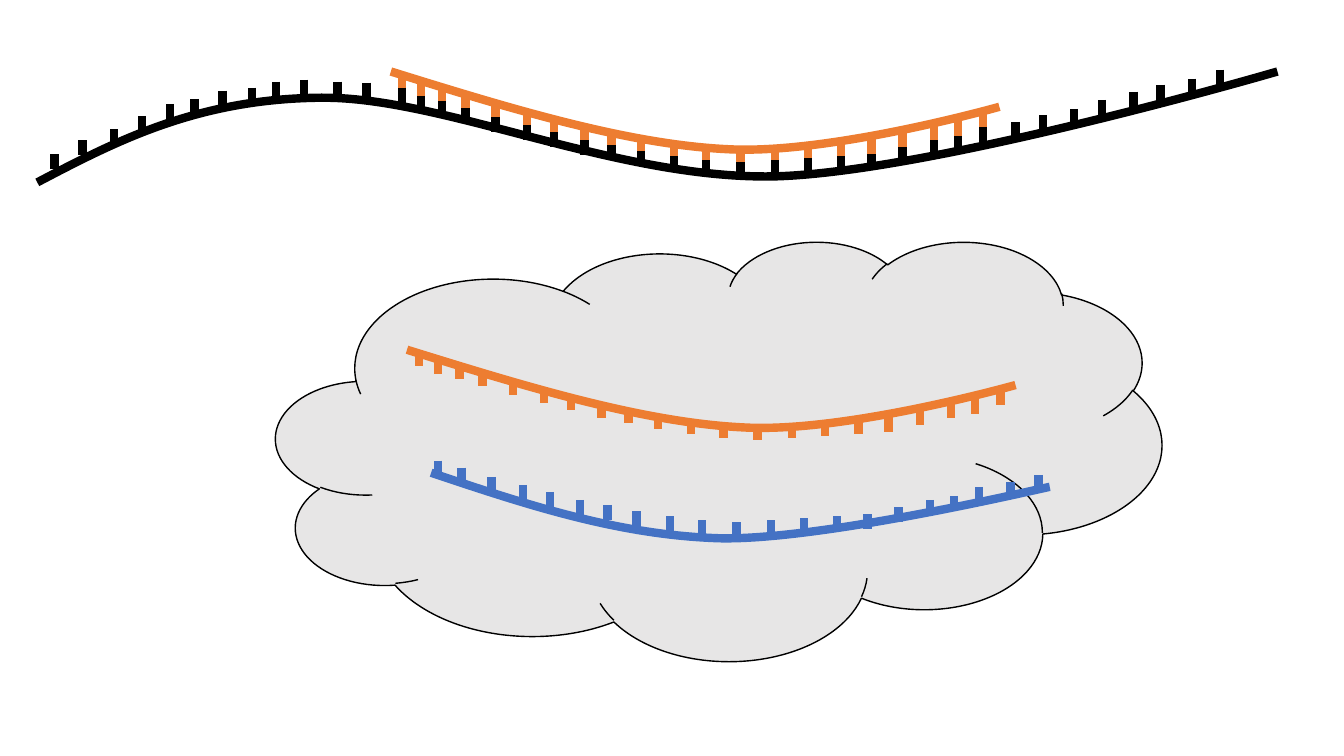
"""Draw a slide of paired strands above a cloud that holds two more strands."""
from lxml.etree import Element, SubElement
from pptx import Presentation
from pptx.dml.color import RGBColor
from pptx.enum.shapes import MSO_CONNECTOR, MSO_SHAPE
from pptx.oxml.ns import qn
from pptx.util import Inches, Pt

BLACK = RGBColor(0x00, 0x00, 0x00)
ORANGE = RGBColor(0xED, 0x7D, 0x31)
BLUE = RGBColor(0x44, 0x72, 0xC4)
GRAY = RGBColor(0xE7, 0xE6, 0xE6)
THICK = Pt(6)
TICK = 0.15

deck = Presentation()
deck.slide_width, deck.slide_height = Inches(13.34), Inches(7.5)
shapes = deck.slides.add_slide(deck.slide_layouts[6]).shapes


def add_strand(knots, color, right=0, down=0):
    dots = [(Inches(x + right), Inches(y + down)) for x, y in knots]
    pen = shapes.build_freeform(*dots[0])
    pen.add_line_segments(dots[3::3], close=False)
    strand = pen.convert_to_shape()
    for i, curve in enumerate(list(strand._element.iter(qn("a:lnTo")))):
        curve.tag = qn("a:cubicBezTo")
        for place, (x, y) in enumerate(dots[3 * i + 1:3 * i + 3]):
            bend = Element(qn("a:pt"), x=str(x - strand.left), y=str(y - strand.top))
            curve.insert(place, bend)
    strand.shadow.inherit = False
    strand.fill.background()
    strand.line.color.rgb = color
    strand.line.width = THICK


def add_ticks(tops, color, right=0, down=0):
    for x, y in tops:
        x, y = Inches(x + right), Inches(y + down)
        tick = shapes.add_connector(MSO_CONNECTOR.STRAIGHT, x, y, x, y + Inches(TICK))
        tick.line.color.rgb = color
        tick.line.width = THICK
        SubElement(tick._element.spPr, qn("a:effectLst"))


cloud = shapes.add_shape(MSO_SHAPE.CLOUD, Inches(2.74), Inches(2.39),
                         Inches(8.79), Inches(4.16))
cloud.shadow.inherit = False
cloud.fill.solid()
cloud.fill.fore_color.rgb = GRAY
cloud.line.color.rgb = BLACK
cloud.line.width = Pt(1)

long = [(0.37, 1.81), (1.17, 1.39), (1.97, 0.98), (3.19, 0.97), (4.41, 0.96),
        (6.13, 1.79), (7.71, 1.75), (9.29, 1.7), (12.68, 0.71), (12.68, 0.71)]
short = [(3.88, 0.71), (5.04, 1.07), (6.21, 1.43), (7.21, 1.48),
         (8.22, 1.54), (9.92, 1.06), (9.92, 1.06)]
lower = [(4.28, 4.69), (5.21, 5), (6.13, 5.31), (7.15, 5.34),
         (8.18, 5.36), (10.4, 4.83), (10.42, 4.83)]

pairs = [(3.99, 0.72), (4.18, 0.8), (4.39, 0.85), (4.62, 0.92), (4.92, 1.01),
         (5.23, 1.09), (5.5, 1.16), (5.8, 1.24), (6.07, 1.29), (6.36, 1.35),
         (6.69, 1.4), (7.01, 1.44), (7.35, 1.46), (7.69, 1.44), (8.02, 1.42),
         (8.35, 1.4), (8.65, 1.38), (8.96, 1.31), (9.27, 1.24), (9.51, 1.2),
         (9.76, 1.11)]
free = [(0.54, 1.53), (0.82, 1.39), (1.13, 1.28), (1.41, 1.15), (1.69, 1.03),
        (1.93, 0.98), (2.21, 0.9), (2.5, 0.87), (2.74, 0.81), (3.02, 0.79),
        (3.35, 0.81), (3.64, 0.82), (10.08, 1.21), (10.35, 1.14), (10.66, 1.08),
        (10.94, 0.99), (11.25, 0.91), (11.52, 0.84), (11.83, 0.78), (12.11, 0.69)]

add_strand(long, BLACK)
add_strand(short, ORANGE)
add_ticks(pairs, ORANGE)
add_ticks(pairs, BLACK, down=TICK)
add_ticks(free, BLACK)

add_strand(short, ORANGE, right=0.16, down=2.76)
add_ticks(pairs, ORANGE, right=0.17, down=2.76)

add_ticks(pairs[2:], BLUE, right=-0.04, down=3.72)
add_ticks([(10.03, 4.78), (10.31, 4.71)], BLUE)
add_strand(lower, BLUE)

deck.save("out.pptx")
